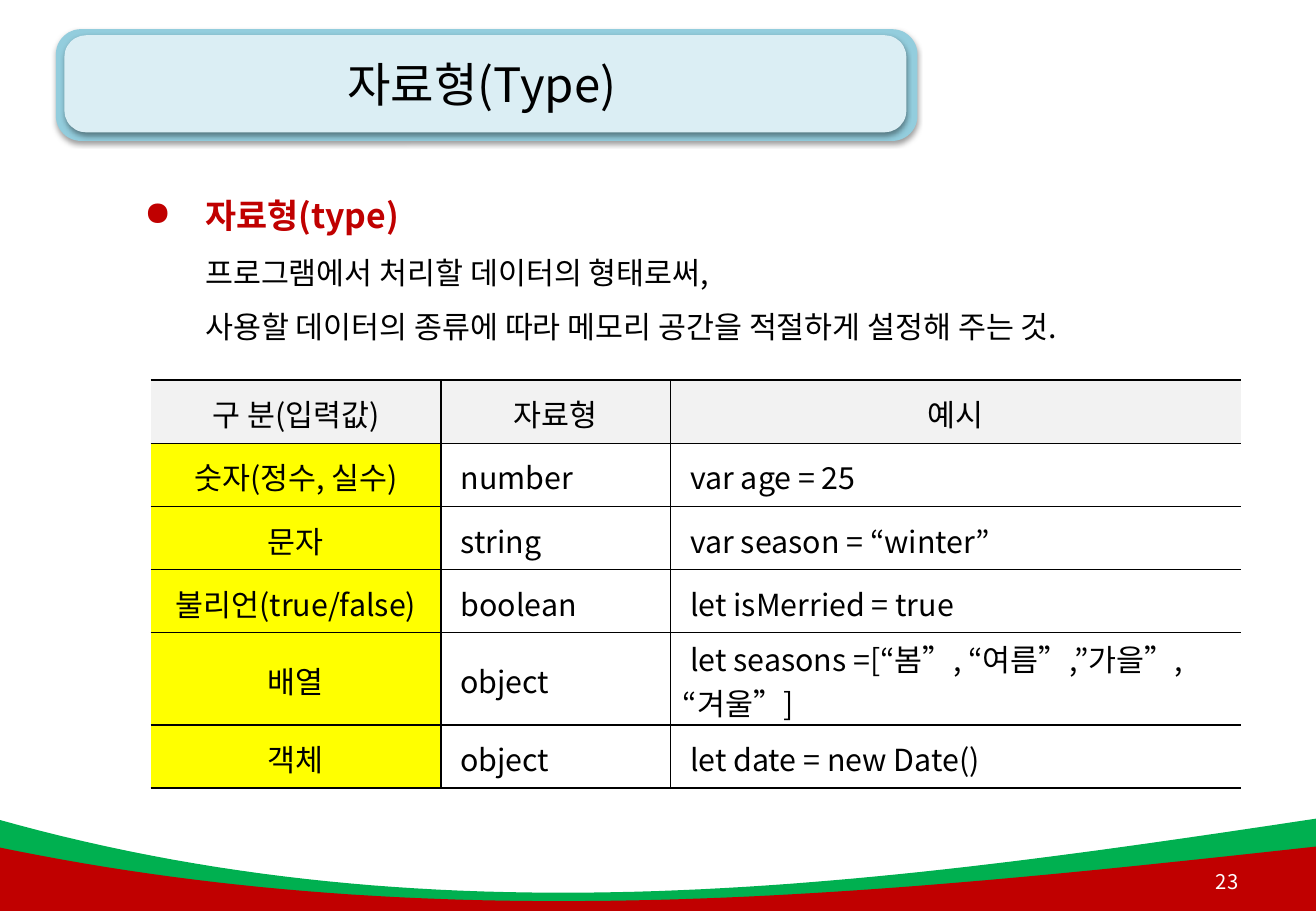
from pptx import Presentation
from pptx.dml.color import RGBColor as Rgb
from pptx.enum.shapes import MSO_SHAPE as Shape
from pptx.enum.text import MSO_ANCHOR as Anchor, PP_ALIGN as Align
from pptx.oxml import parse_xml
from pptx.util import Emu, Pt

PX = 9144  # 100 px to the inch
FONT = "Noto Sans CJK KR"
NS = 'xmlns:a="http://schemas.openxmlformats.org/drawingml/2006/main"'
HUE = {
    "black": "000000", "white": "FFFFFF", "red": "C00000", "green": "00B050",
    "blue": "93CDDD", "pale": "DBEEF4", "grey": "F2F2F2", "yellow": "FFFF00",
}


def px(num):
    return Emu(round(num * PX))


class Page:
    def __init__(self, deck):
        self.slide = deck.slides.add_slide(deck.slide_layouts[5])
        self.items = self.slide.shapes

    def paint(self, shape, hue):
        shape.shadow.inherit = False
        shape.fill.solid()
        shape.fill.fore_color.rgb = Rgb.from_string(HUE[hue])
        shape.line.fill.background()

    def style(self, para, size, hue="black", bold=False, align=Align.LEFT):
        para.alignment = align
        for run in para.runs:
            font = run.font
            font.size, font.bold, font.name = Pt(size), bold, FONT
            font.color.rgb = Rgb.from_string(HUE[hue])
            font._element.find("{*}latin").addnext(
                parse_xml(f'<a:ea {NS} typeface="{FONT}"/>'))

    def wave(self, top, ctrl, base, hue):
        """Fill below a cubic curve that runs across the slide."""
        ends = [(-4, top[0]), (364, ctrl[0]), (719, ctrl[1]), (1083, top[1])]
        dots = []
        for step in range(61):
            t = step / 60
            mix = [(1 - t) ** 3, 3 * t * (1 - t) ** 2, 3 * t * t * (1 - t), t ** 3]
            dots.append(tuple(sum(m * e[i] for m, e in zip(mix, ends)) * PX
                              for i in (0, 1)))
        form = self.items.build_freeform(*dots[0], scale=1.0)
        form.add_line_segments(
            dots[1:] + [(1083 * PX, base * PX), (-4 * PX, base * PX)], close=True)
        self.paint(form.convert_to_shape(), hue)

    def plate(self, box, hue):
        shape = self.items.add_shape(Shape.ROUNDED_RECTANGLE, *map(px, box))
        shape.adjustments[0] = 0.225
        self.paint(shape, hue)
        shape._element.spPr.find("{*}effectLst").append(parse_xml(
            f'<a:outerShdw {NS} blurRad="39370" dist="20320" dir="5400000" '
            'rotWithShape="0"><a:srgbClr val="000000"><a:alpha val="38000"/>'
            '</a:srgbClr></a:outerShdw>'))

    def title(self, box, text):
        head = self.items.title
        head.left, head.top, head.width, head.height = map(px, box)
        frame = head.text_frame
        frame.text, frame.vertical_anchor = text, Anchor.MIDDLE
        self.style(frame.paragraphs[0], 28, align=Align.CENTER)
        self.items._spTree.append(head._element)  # in front of its plates

    def text(self, box, anchor=Anchor.TOP):
        frame = self.items.add_textbox(*map(px, box)).text_frame
        frame.word_wrap, frame.vertical_anchor = True, anchor
        return frame

    def number(self, box, text):
        frame = self.text(box, Anchor.MIDDLE)
        frame.text = text
        self.style(frame.paragraphs[0], 12, "white", align=Align.RIGHT)

    def notion(self, box, term, lines):
        frame = self.text(box)
        frame.text = "\n".join([term] + lines)
        for row, para in enumerate(frame.paragraphs):
            props = para._p.get_or_add_pPr()
            props.set("marL", str(px(50)))
            props.set("indent", str(0 if row else px(-50)))
            para.line_spacing = 1.5
            if row:
                para.level = 1
                self.style(para, 18)
            else:
                props.append(parse_xml(f'<a:buChar {NS} char="●"/>'))
                self.style(para, 20, "red", True)

    def edges(self, cell, first, last):
        props = cell._tc.get_or_add_tcPr()
        for spot, side in enumerate("LRTB"):
            bare = (side == "L" and first) or (side == "R" and last)
            ink = "<a:noFill/>" if bare else (
                f'<a:solidFill><a:srgbClr val="{HUE["black"]}"/></a:solidFill>')
            props.insert(spot, parse_xml(
                f'<a:ln{side} {NS} w="12700">{ink}</a:ln{side}>'))

    def table(self, box, cols, rows, data):
        grid = self.items.add_table(len(rows), len(cols), *map(px, box)).table
        grid.first_row = grid.horz_banding = False
        for col, wide in zip(grid.columns, cols):
            col.width = px(wide)
        for row, tall in zip(grid.rows, rows):
            row.height = px(tall)
        for r, line in enumerate(data):
            for c, text in enumerate(line):
                cell = grid.cell(r, c)
                cell.text, cell.vertical_anchor = text, Anchor.MIDDLE
                cell.margin_top, cell.margin_bottom = px(3), px(0)
                hue = "grey" if r == 0 else "yellow" if c == 0 else None
                if hue:
                    cell.fill.solid()
                    cell.fill.fore_color.rgb = Rgb.from_string(HUE[hue])
                else:
                    cell.fill.background()
                self.edges(cell, c == 0, c == len(cols) - 1)
                para = cell.text_frame.paragraphs[0]
                if not hue:
                    props = para._p.get_or_add_pPr()
                    props.set("marL", "0")
                    props.set("indent", str(px(6)))
                self.style(para, 18, align=Align.CENTER if hue else Align.LEFT)


def main():
    deck = Presentation()
    deck.slide_width, deck.slide_height = px(1083), px(750)
    page = Page(deck)

    # Footer waves and title plates
    page.wave((674, 674), (778, 729), 750, "green")
    page.plate((46, 24, 709, 92), "blue")
    page.plate((53, 29, 693, 80), "pale")
    page.wave((697, 697), (774, 737), 753, "red")

    # Title and page number
    page.title((46, 22, 701, 94), "자료형(Type)")
    page.number((968, 706, 61, 40), "23")

    # Definition
    page.notion((109, 139, 874, 151), "자료형(type)", [
        "프로그램에서 처리할 데이터의 형태로써,",
        "사용할 데이터의 종류에 따라 메모리 공간을 적절하게 설정해 주는 것.",
    ])

    # Table of types
    page.table((124, 313, 897, 336), (239, 189, 469), (52, 52, 52, 52, 76, 52), [
        ("구 분(입력값)", "자료형", "예시"),
        ("숫자(정수, 실수)", "number", "var age = 25"),
        ("문자", "string", "var season = “winter”"),
        ("불리언(true/false)", "boolean", "let isMerried = true"),
        ("배열", "object", "let seasons =[“봄”, “여름”,”가을”, “겨울”]"),
        ("객체", "object", "let date = new Date()"),
    ])
    deck.save("out.pptx")


if __name__ == "__main__":
    main()
